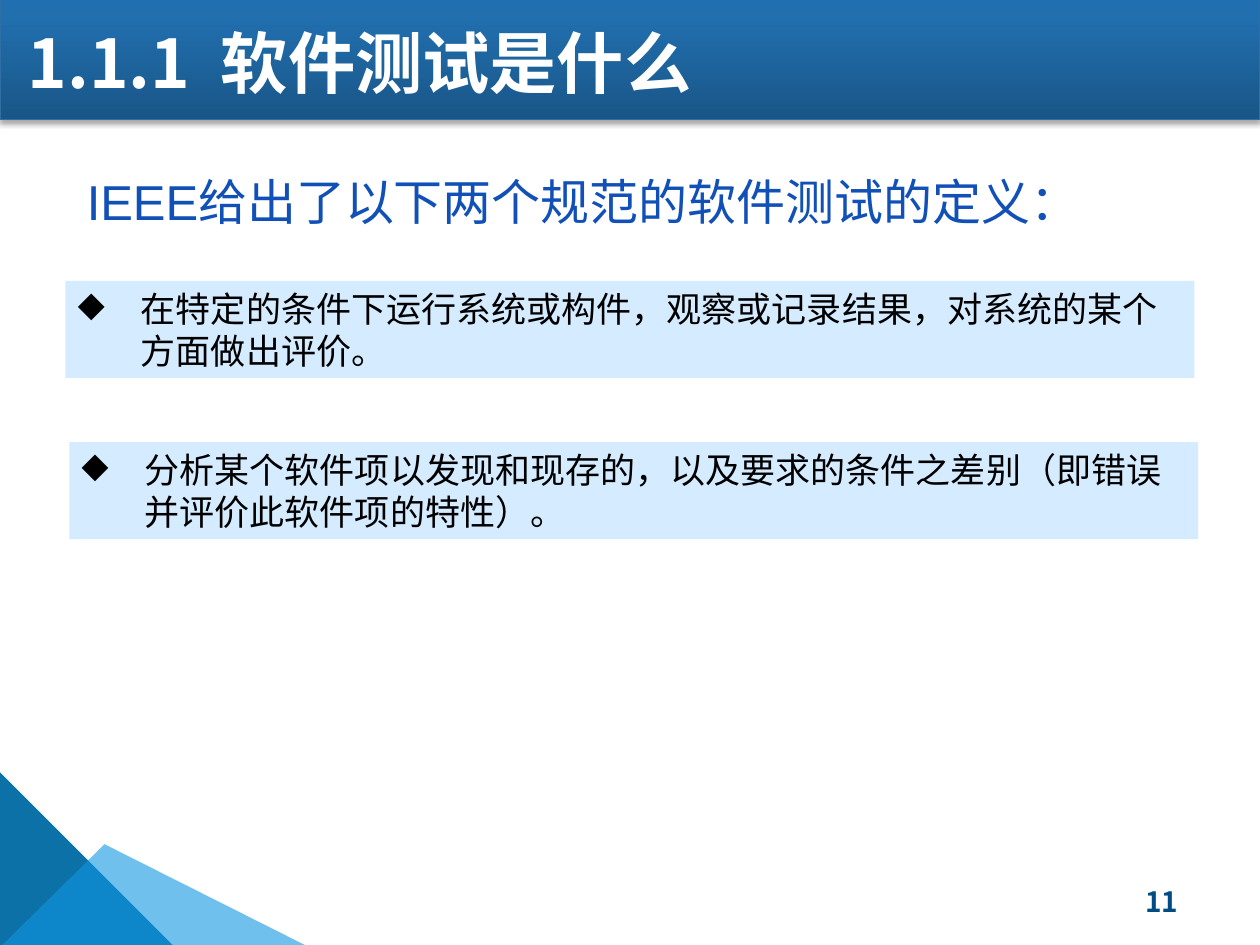
from lxml import etree
from pptx import Presentation
from pptx.dml.color import RGBColor
from pptx.enum.lang import MSO_LANGUAGE_ID
from pptx.enum.shapes import MSO_SHAPE
from pptx.enum.text import MSO_ANCHOR, MSO_AUTO_SIZE, PP_ALIGN
from pptx.oxml import parse_xml
from pptx.oxml.ns import qn
from pptx.util import Inches, Pt

RECTANGLE, TRIANGLE = MSO_SHAPE.RECTANGLE, MSO_SHAPE.RIGHT_TRIANGLE
TOP, MIDDLE = MSO_ANCHOR.TOP, MSO_ANCHOR.MIDDLE
LEFT, RIGHT = PP_ALIGN.LEFT, PP_ALIGN.RIGHT
GROW = MSO_AUTO_SIZE.SHAPE_TO_FIT_TEXT
CHINESE = MSO_LANGUAGE_ID.SIMPLIFIED_CHINESE
SANS, CJK = "Arial", "Noto Sans CJK SC"
DRAWING = 'xmlns:a="http://schemas.openxmlformats.org/drawingml/2006/main"'

TITLE = "1.1.1  软件测试是什么"
LEAD = "IEEE给出了以下两个规范的软件测试的定义："
DEFINITIONS = [
    (0.52, 2.23, "在特定的条件下运行系统或构件，观察或记录结果，对系统的某个方面做出评价。"),
    (0.55, 3.51, "分析某个软件项以发现和现存的，以及要求的条件之差别（即错误并评价此软件项的特性）。"),
]
PAGE_NUMBER = "11"
BANNER_STOPS = [(0, "195687"), (80, "216FAF"), (100, "1E70B3")]
CORNER_POINTS = [(2.44, 7.51), (0.01, 7.51), (0.83, 6.7)]


def color(value):
    return RGBColor.from_string(value)


def paint(shape, fill):
    shape.shadow.inherit = False
    shape.fill.solid()
    shape.fill.fore_color.rgb = color(fill)
    shape.line.fill.background()


def add_shape(page, kind, place, fill):
    shape = page.shapes.add_shape(kind, *map(Inches, place))
    paint(shape, fill)
    return shape


def add_banner(page):
    banner = add_shape(page, RECTANGLE, (0, -0.09, 10, 1.04), BANNER_STOPS[0][1])
    banner.line.color.rgb = color("2F6FA3")
    banner.line.width = Pt(0.75)
    stops = "".join(
        f'<a:gs pos="{position * 1000}"><a:srgbClr val="{value}"/></a:gs>'
        for position, value in BANNER_STOPS
    )
    properties = banner.element.spPr
    properties.replace(properties.find(qn("a:solidFill")), parse_xml(
        f'<a:gradFill {DRAWING} rotWithShape="1"><a:gsLst>{stops}</a:gsLst>'
        '<a:lin ang="16200000" scaled="0"/></a:gradFill>'))
    properties.find(qn("a:effectLst")).append(parse_xml(
        f'<a:outerShdw {DRAWING} blurRad="{Pt(3.1)}" dist="{Pt(1.8)}" dir="5400000" '
        'rotWithShape="0"><a:srgbClr val="000000"><a:alpha val="35000"/></a:srgbClr>'
        '</a:outerShdw>'))


def add_corner(page):
    add_shape(page, TRIANGLE, (0, 6.13, 1.38, 1.38), "0C71A7")
    start, *others = [(Inches(x), Inches(y)) for x, y in CORNER_POINTS]
    builder = page.shapes.build_freeform(*start)
    builder.add_line_segments(others, close=True)
    wedge = builder.convert_to_shape()
    paint(wedge, "1097E2")
    fill = wedge.element.spPr.find(qn("a:solidFill"))
    etree.SubElement(fill[0], qn("a:alpha"), val="60000")


def write(box, text, size, font, ink, bold=False, align=LEFT, anchor=TOP, bullet=None):
    frame = box.text_frame
    frame.word_wrap = True
    frame.vertical_anchor = anchor
    para = frame.paragraphs[0]
    para.alignment = align
    if bullet:
        properties = para._p.get_or_add_pPr()
        properties.set("marL", str(Inches(0.5)))
        properties.set("indent", str(Inches(-0.5)))
        etree.SubElement(properties, qn("a:buChar"), char=bullet)
    span = para.add_run()
    span.text = text
    span.font.size = Pt(size)
    span.font.name = font
    span.font.bold = bold
    span.font.color.rgb = color(ink)
    span.font.language_id = CHINESE
    span.font._element.find(qn("a:latin")).addnext(
        parse_xml(f'<a:ea {DRAWING} typeface="{CJK}"/>'))


def add_text(page, place, text, size, font, ink, **options):
    box = page.shapes.add_textbox(*map(Inches, place))
    write(box, text, size, font, ink, **options)
    return box


def main():
    """Build the slide that defines software testing."""
    deck = Presentation()
    deck.slide_width, deck.slide_height = Inches(10), Inches(7.5)
    page = deck.slides.add_slide(deck.slide_layouts[6])
    add_banner(page)
    add_corner(page)
    add_text(page, (7.2, 6.95, 2.25, 0.4), PAGE_NUMBER, 16, CJK, "014C83",
             bold=True, align=RIGHT, anchor=MIDDLE)
    title = add_text(page, (0.1, 0.06, 7.65, 0.85), TITLE, 38.4, CJK, "FFFFFF",
                     bold=True, anchor=MIDDLE)
    title.text_frame.margin_left = title.text_frame.margin_right = Inches(0.12)
    lead = add_text(page, (0.59, 1.31, 8.88, 0.57), LEAD, 28, SANS, "1150B7")
    lead.text_frame.auto_size = GROW
    for left, top, text in DEFINITIONS:
        panel = add_shape(page, RECTANGLE, (left, top, 8.96, 0.77), "D5EBFF")
        write(panel, text, 20, SANS, "000000", bullet="◆")
        panel.text_frame.auto_size = GROW
    deck.save("out.pptx")


if __name__ == "__main__":
    main()
